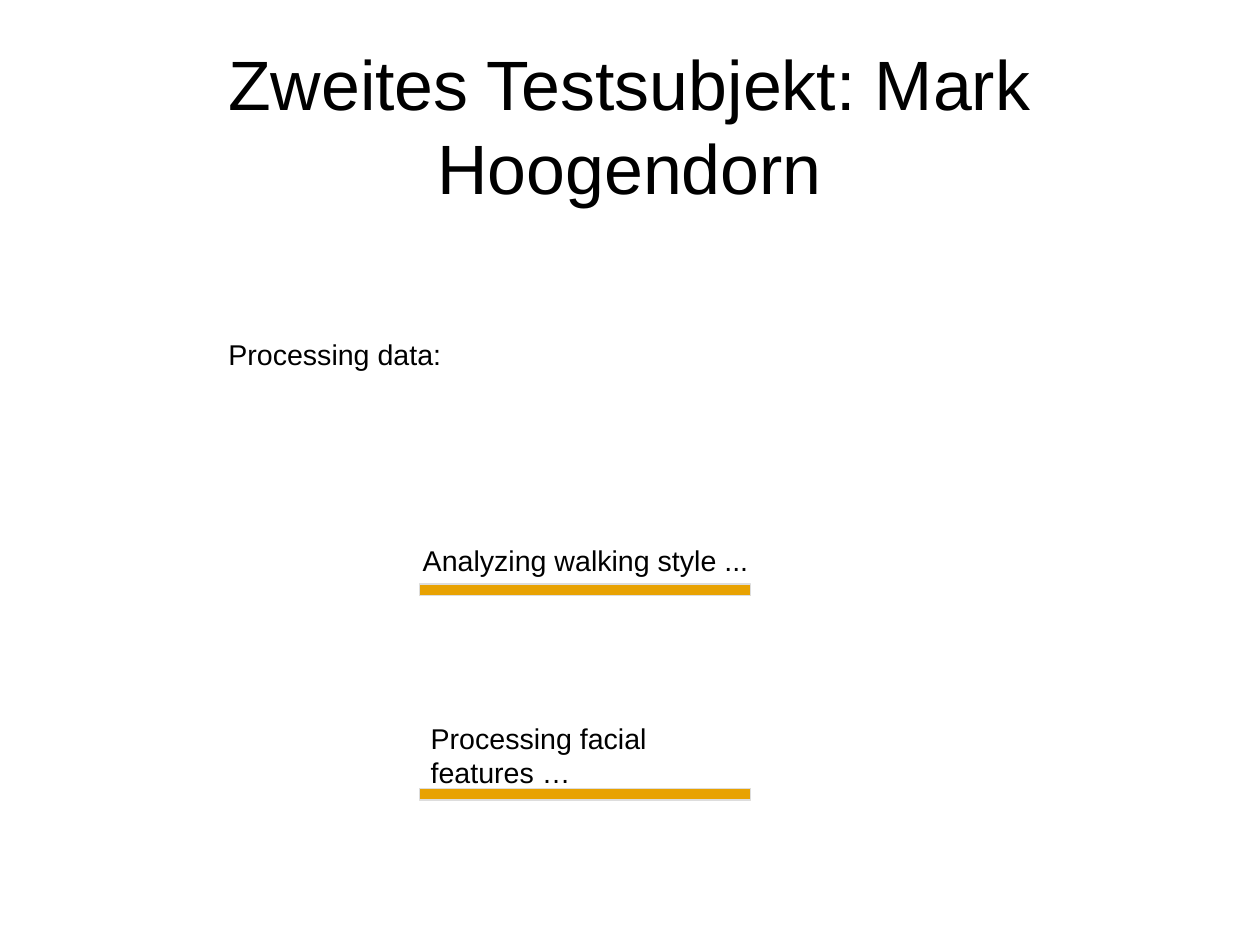
from pptx import Presentation
from pptx.dml.color import RGBColor
from pptx.enum.shapes import MSO_SHAPE
from pptx.enum.text import MSO_ANCHOR, MSO_AUTO_SIZE, PP_ALIGN
from pptx.util import Inches, Pt

BLACK = RGBColor(0x00, 0x00, 0x00)
AMBER = RGBColor(0xE8, 0xA2, 0x02)
PALE_GREY = RGBColor(0xDD, 0xDD, 0xDD)

CM_PER_INCH = 2.54
PAGE_WIDTH_CM, PAGE_HEIGHT_CM = 28, 21

BAR_LEFT, BAR_WIDTH, BAR_HEIGHT = 3.67, 2.9, 0.1
BAR_TOPS = (5.11, 6.9)

# text, left, top, width, height, wraps
STATUS_LINES = (
    ("Processing data:", 1.9, 2.9, 3.5, 0.38, True),
    ("Analyzing walking style ...", 3.6, 4.7, 3.05, 0.38, False),
    ("Processing facial features …", BAR_LEFT, 6.26, BAR_WIDTH, 0.94, True),
)


def set_attributes(target, values):
    for name, value in values.items():
        setattr(target, name, value)


def write_text(frame, text, size):
    frame.text = text
    font = frame.paragraphs[0].runs[0].font
    set_attributes(font, {"name": "Arial", "size": Pt(size)})
    font.color.rgb = BLACK


def format_title(title, text):
    set_attributes(title, {
        "left": Inches(0.55), "top": Inches(0.4),
        "width": Inches(9.92), "height": Inches(1.38),
    })
    frame = title.text_frame
    write_text(frame, text, 44)
    set_attributes(frame, {
        "margin_left": 0, "margin_right": 0, "margin_top": 0, "margin_bottom": 0,
        "vertical_anchor": MSO_ANCHOR.MIDDLE,
        "word_wrap": True, "auto_size": MSO_AUTO_SIZE.NONE,
    })
    frame.paragraphs[0].alignment = PP_ALIGN.CENTER


def add_status_line(slide, text, left, top, width, height, wraps):
    box = slide.shapes.add_textbox(
        Inches(left), Inches(top), Inches(width), Inches(height))
    write_text(box.text_frame, text, 18)
    box.text_frame.word_wrap = wraps


def add_progress_bar(slide, top):
    bar = slide.shapes.add_shape(
        MSO_SHAPE.RECTANGLE, Inches(BAR_LEFT), Inches(top),
        Inches(BAR_WIDTH), Inches(BAR_HEIGHT))
    bar.shadow.inherit = False
    bar.fill.solid()
    bar.fill.fore_color.rgb = AMBER
    bar.line.color.rgb = PALE_GREY
    bar.line.width = Pt(0)


def main():
    presentation = Presentation()
    presentation.slide_width = Inches(PAGE_WIDTH_CM / CM_PER_INCH)
    presentation.slide_height = Inches(PAGE_HEIGHT_CM / CM_PER_INCH)
    title_only = presentation.slide_layouts.get_by_name("Title Only")
    slide = presentation.slides.add_slide(title_only)
    format_title(slide.shapes.title, "Zweites Testsubjekt: Mark Hoogendorn")
    for status_line in STATUS_LINES:
        add_status_line(slide, *status_line)
    for top in BAR_TOPS:
        add_progress_bar(slide, top)
    presentation.save("out.pptx")


if __name__ == "__main__":
    main()
